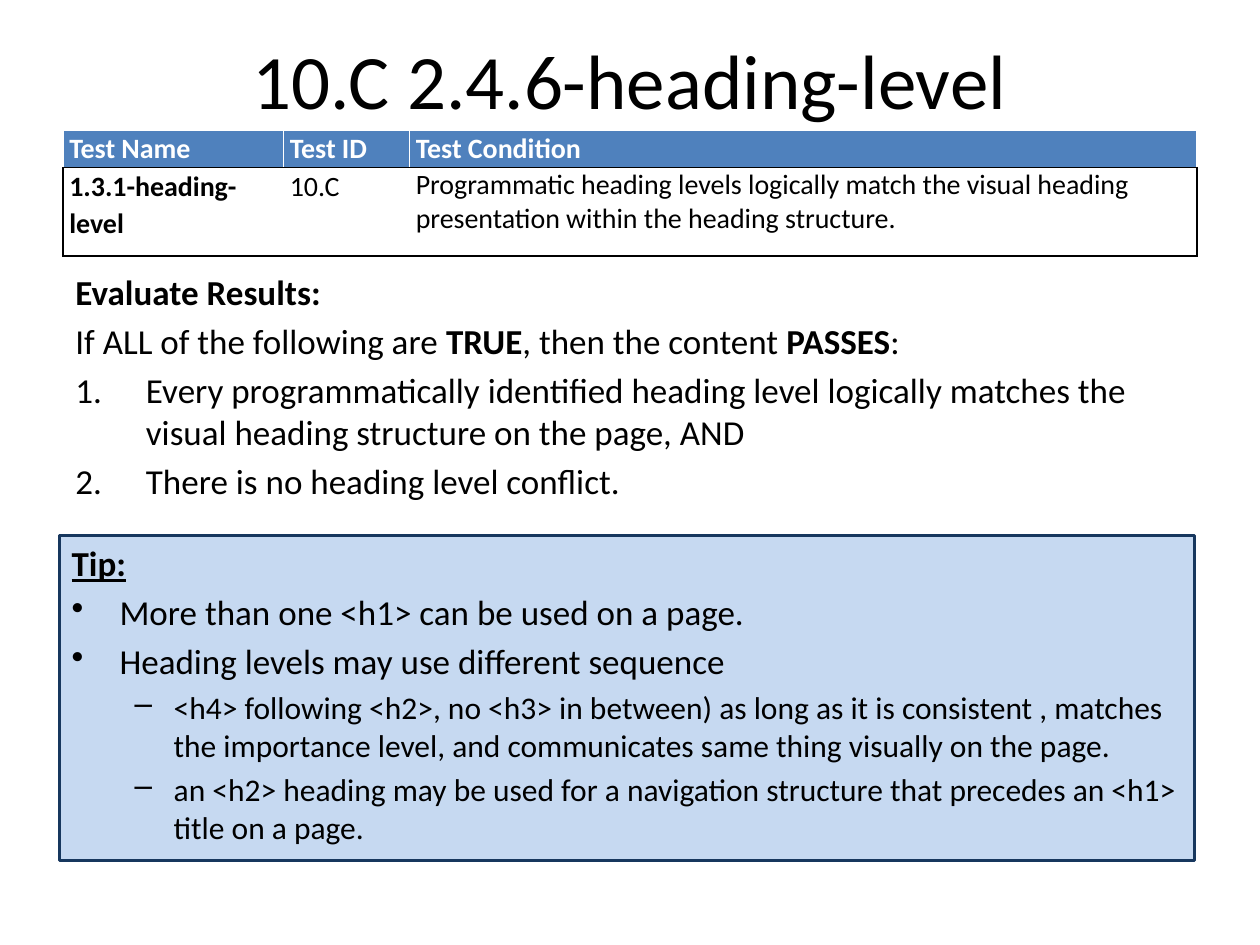
from dataclasses import dataclass
from typing import Any, Optional

import pptx
import pptx.dml.color
import pptx.enum.shapes
import pptx.enum.text
import pptx.oxml
import pptx.oxml.ns
import pptx.util
from pptx.util import Inches

BLACK = pptx.dml.color.RGBColor(0x00, 0x00, 0x00)
WHITE = pptx.dml.color.RGBColor(0xFF, 0xFF, 0xFF)
HEADER_BLUE = pptx.dml.color.RGBColor(0x4F, 0x81, 0xBD)
TIP_FILL = pptx.dml.color.RGBColor(0xC6, 0xD9, 0xF1)
TIP_LINE = pptx.dml.color.RGBColor(0x17, 0x37, 0x5E)

FONT_NAME = "Calibri"
NAMESPACE = pptx.oxml.ns.nsdecls("a")
NUMBER = '<a:buAutoNum {} type="arabicPeriod"/>'
BULLET = '<a:buChar {} char="•"/>'
DASH = '<a:buChar {} char="–"/>'
TOP = pptx.enum.text.MSO_ANCHOR.TOP
MIDDLE = pptx.enum.text.MSO_ANCHOR.MIDDLE
LEFT = pptx.enum.text.PP_ALIGN.LEFT
CENTER = pptx.enum.text.PP_ALIGN.CENTER


@dataclass(frozen=True)
class Span:
    text: str
    bold: bool = False
    underline: bool = False


@dataclass(frozen=True)
class Line:
    spans: tuple[Span, ...]
    size: float = 20
    level: int = 0
    margin: float = 0
    hanging: float = 0
    marker: Optional[str] = None
    before: float = 4
    spacing: float = 1.0
    alignment: Any = LEFT
    color: pptx.dml.color.RGBColor = BLACK


@dataclass(frozen=True)
class Cell:
    line: Line
    fill: Optional[pptx.dml.color.RGBColor]
    borders: dict[str, pptx.dml.color.RGBColor]


def set_values(target: Any, values: dict[str, Any]) -> None:
    for name, value in values.items():
        setattr(target, name, value)


def write_line(paragraph: Any, line: Line) -> None:
    set_values(paragraph, {
        "level": line.level,
        "alignment": line.alignment,
        "line_spacing": line.spacing,
        "space_before": pptx.util.Pt(line.before),
    })
    properties = paragraph._p.get_or_add_pPr()
    properties.set("marL", str(Inches(line.margin)))
    properties.set("indent", str(Inches(-line.hanging)))
    if line.marker:
        properties.append(pptx.oxml.parse_xml(line.marker.format(NAMESPACE)))
    for span in line.spans:
        run = paragraph.add_run()
        run.text = span.text
        set_values(run.font, {
            "name": FONT_NAME,
            "size": pptx.util.Pt(line.size),
            "bold": span.bold,
            "underline": span.underline,
        })
        run.font.color.rgb = line.color


def write_lines(frame: Any, lines: list[Line], anchor: Any = TOP) -> None:
    set_values(frame, {"word_wrap": True, "vertical_anchor": anchor})
    for index, line in enumerate(lines):
        paragraph = frame.add_paragraph() if index else frame.paragraphs[0]
        write_line(paragraph, line)


def draw_cell(table_cell: Any, cell: Cell) -> None:
    set_values(table_cell, {
        "margin_left": Inches(0.05),
        "margin_right": Inches(0.05),
        "margin_top": 0,
        "margin_bottom": 0,
    })
    if cell.fill is None:
        table_cell.fill.background()
    else:
        table_cell.fill.solid()
        table_cell.fill.fore_color.rgb = cell.fill
    properties = table_cell._tc.get_or_add_tcPr()
    for index, side in enumerate("LRTB"):
        properties.insert(index, pptx.oxml.parse_xml(
            f'<a:ln{side} {NAMESPACE} w="{pptx.util.Pt(1)}"><a:solidFill>'
            f'<a:srgbClr val="{cell.borders[side]}"/></a:solidFill></a:ln{side}>'
        ))
    write_lines(table_cell.text_frame, [cell.line])


def draw_table(slide: Any) -> None:
    widths = [1.75, 1, 6.25]
    heights = [0.3, 0.7]
    headers = ["Test Name", "Test ID", "Test Condition"]
    values = [
        Line((Span("1.3.1-heading-level", True),), 16, before=0, spacing=1.07),
        Line((Span("10.C"),), 16, before=0, spacing=1.07),
        Line((Span("Programmatic heading levels logically match the visual heading "
                   "presentation within the heading structure."),), 16, before=0),
    ]
    table = slide.shapes.add_table(
        len(heights), len(widths), Inches(0.5), Inches(1.03),
        Inches(sum(widths)), Inches(sum(heights)),
    ).table
    table.horz_banding = False
    for row, height in zip(table.rows, heights):
        row.height = Inches(height)
    last = len(widths) - 1
    for index, (width, header, value) in enumerate(zip(widths, headers, values)):
        table.columns[index].width = Inches(width)
        title = Line((Span(header, True),), 16, before=0, spacing=1.07, color=WHITE)
        draw_cell(table.cell(0, index), Cell(
            title, HEADER_BLUE, {"L": WHITE, "R": WHITE, "T": WHITE, "B": BLACK}))
        draw_cell(table.cell(1, index), Cell(value, None, {
            "L": BLACK if index == 0 else WHITE,
            "R": BLACK if index == last else WHITE,
            "T": BLACK,
            "B": BLACK,
        }))


def numbered(text: str) -> Line:
    return Line((Span(text),), margin=0.56, hanging=0.56, marker=NUMBER)


def bulleted(text: str) -> Line:
    return Line((Span(text),), margin=0.38, hanging=0.38, marker=BULLET)


def dashed(text: str) -> Line:
    return Line((Span(text),), 18, 1, 0.81, 0.31, DASH, before=3.6)


def draw_results(slide: Any) -> None:
    box = slide.shapes.add_textbox(Inches(0.5), Inches(2.1), Inches(9.08), Inches(1.98))
    write_lines(box.text_frame, [
        Line((Span("Evaluate Results:", True),)),
        Line((Span("If ALL of the following are "), Span("TRUE", True),
              Span(", then the content "), Span("PASSES", True), Span(":"))),
        numbered("Every programmatically identified heading level logically matches "
                 "the visual heading structure on the page, AND"),
        numbered("There is no heading level conflict."),
    ])


def draw_tip(slide: Any) -> None:
    tip = slide.shapes.add_shape(
        pptx.enum.shapes.MSO_SHAPE.RECTANGLE,
        Inches(0.47), Inches(4.25), Inches(9.01), Inches(2.58))
    tip.shadow.inherit = False
    tip.fill.solid()
    tip.fill.fore_color.rgb = TIP_FILL
    tip.line.color.rgb = TIP_LINE
    tip.line.width = pptx.util.Pt(1.75)
    write_lines(tip.text_frame, [
        Line((Span("Tip:", True, True),), before=12),
        bulleted("More than one <h1> can be used on a page."),
        bulleted("Heading levels may use different sequence"),
        dashed("<h4> following <h2>, no <h3> in between) as long as it is consistent , "
               "matches the importance level, and communicates same thing visually on the page."),
        dashed("an <h2> heading may be used for a navigation structure that precedes "
               "an <h1> title on a page."),
    ])


def main() -> None:
    presentation = pptx.Presentation()
    set_values(presentation, {"slide_width": Inches(10), "slide_height": Inches(7.5)})
    slide = presentation.slides.add_slide(presentation.slide_layouts[5])
    title = slide.shapes.title
    set_values(title, {"left": Inches(0.5), "top": 0, "width": Inches(9), "height": Inches(1.25)})
    heading = Line((Span("10.C 2.4.6-heading-level"),), 44, before=0, alignment=CENTER)
    write_lines(title.text_frame, [heading], MIDDLE)
    draw_table(slide)
    draw_results(slide)
    draw_tip(slide)
    presentation.save("out.pptx")


if __name__ == "__main__":
    main()
